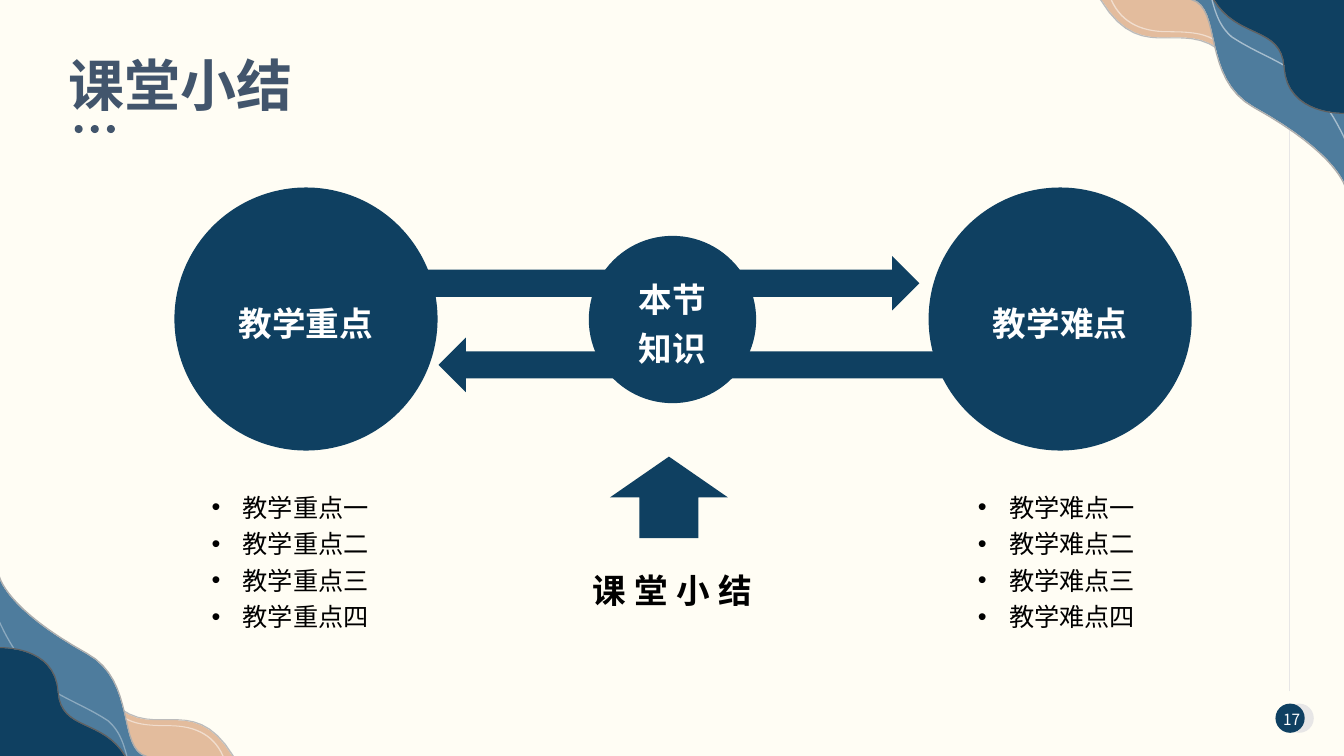
from lxml.etree import SubElement
from pptx import Presentation
from pptx.dml.color import RGBColor
from pptx.enum.shapes import MSO_CONNECTOR as CONNECTOR, MSO_SHAPE as SHAPE
from pptx.enum.text import MSO_ANCHOR as ANCHOR, MSO_AUTO_SIZE as AUTO_SIZE, PP_ALIGN as ALIGN
from pptx.oxml.ns import qn
from pptx.util import Inches, Pt

FONT = "Noto Sans CJK SC"
NAVY = RGBColor(0x0F, 0x40, 0x61)
BLUE = RGBColor(0x4E, 0x7C, 0x9D)
PEACH = RGBColor(0xE3, 0xBC, 0x9D)
CREAM = RGBColor(0xFF, 0xFA, 0xE1)
SLATE = RGBColor(0x42, 0x55, 0x6C)
SILVER = RGBColor(0xE7, 0xE6, 0xE6)
LIGHT_EDGE = RGBColor(0xBC, 0xBC, 0xBC)
MID_EDGE = RGBColor(0xAD, 0xAD, 0xAD)
DARK_EDGE = RGBColor(0x60, 0x60, 0x60)
WHITE = RGBColor(0xFF, 0xFF, 0xFF)
BLACK = RGBColor(0, 0, 0)

CORNER = (13.35, -0.01)
CORNER_SCALE = 0.955
PEACH_WAVE = [(13.35, 1.24), (13.35, 1.24), (12.71, 1.22), (12.26, 0.65),
              (11.79, 0.05), (11.37, 0.73), (10.92, -0.01)]
BLUE_WAVE = [(13.35, 1.86), (13.35, 1.86), (13.29, 1.53), (12.44, 1.06),
             (11.92, 0.77), (12.13, 0.07), (11.82, -0.01)]
NAVY_WAVE = [(13.35, 1.12), (13.35, 1.12), (12.77, 1.15), (12.74, 0.66),
             (12.71, 0.25), (12.28, 0.39), (12.04, -0.01)]
PEACH_STRIPE = [(12.13, 0.45), (12, 0.33), (11.85, 0.31), (11.59, 0.31),
                (11.3, 0.31), (11.1, 0.2), (11.01, -0.05)]
BLUE_STRIPE = [(13.42, 1.56), (13.28, 1.18), (13.06, 0.85), (12.77, 0.66),
               (12.6, 0.56), (12.4, 0.48), (12.22, 0.36),
               (12.12, 0.27), (12.07, 0.17), (12.02, -0.03)]


def paint(shape, color, opacity=100):
    """Give a shape a plain fill without line or shadow."""
    shape.shadow.inherit = False
    shape.line.fill.background()
    shape.fill.solid()
    shape.fill.fore_color.rgb = color
    if opacity < 100:
        tint = shape.element.spPr.find(qn("a:solidFill"))[0]
        SubElement(tint, qn("a:alpha"), val=str(opacity * 1000))


def add_figure(slide, kind, left, top, width, height, color, opacity=100):
    """Add a filled preset shape."""
    figure = slide.shapes.add_shape(
        kind, Inches(left), Inches(top), Inches(width), Inches(height))
    paint(figure, color, opacity)
    return figure


def write(frame, text, size, color, bold=False, align=None, line_spacing=None, tracking=0):
    """Fill a text frame with one formatted paragraph."""
    frame.word_wrap = True
    frame.text = text
    paragraph = frame.paragraphs[0]
    paragraph.alignment = align
    paragraph.line_spacing = line_spacing
    run = paragraph.runs[0]
    run.font.size = Pt(size)
    run.font.bold = bold
    run.font.color.rgb = color
    run.font.name = FONT
    properties = run._r.get_or_add_rPr()
    SubElement(properties, qn("a:ea"), typeface=FONT)
    if tracking:
        properties.set("spc", str(tracking * 100))
    return paragraph


def add_text(slide, left, top, width, height, text, size, color, inset=True, **style):
    """Add a text box and return its paragraph."""
    frame = slide.shapes.add_textbox(
        Inches(left), Inches(top), Inches(width), Inches(height)).text_frame
    frame.auto_size = AUTO_SIZE.SHAPE_TO_FIT_TEXT
    if not inset:
        frame.margin_left = frame.margin_right = frame.margin_top = frame.margin_bottom = 0
    return write(frame, text, size, color, **style)


def add_topic(slide, left, top, diameter, text):
    """Add a navy circle with a centred label."""
    topic = add_figure(slide, SHAPE.OVAL, left, top, diameter, diameter, NAVY)
    topic.text_frame.vertical_anchor = ANCHOR.MIDDLE
    write(topic.text_frame, text, 24, WHITE, bold=True, align=ALIGN.CENTER, line_spacing=1.2)


def add_points(slide, left, topic):
    """Add four evenly spaced bulleted points."""
    for index, number in enumerate("一二三四"):
        point = add_text(slide, left, 4.68 + index * 1.09 / 3, 2.34, 0.52,
                         topic + number, 18, BLACK, line_spacing=1.5)
        properties = point._p.get_or_add_pPr()
        properties.set("marL", str(Inches(0.31)))
        properties.set("indent", str(-Inches(0.31)))
        SubElement(properties, qn("a:buFont"), typeface="Arial")
        SubElement(properties, qn("a:buChar"), char="•")


def trace(curve, steps=16):
    """Sample a chain of cubic Bézier segments."""
    points = [curve[0]]
    for start in range(0, len(curve) - 1, 3):
        controls = curve[start:start + 4]
        for step in range(1, steps + 1):
            t = step / steps
            weights = ((1 - t) ** 3, 3 * t * (1 - t) ** 2, 3 * t * t * (1 - t), t ** 3)
            points.append(tuple(sum(w * c[axis] for w, c in zip(weights, controls))
                                for axis in (0, 1)))
    return points


def turn(point):
    """Turn a top right point into the bottom left corner."""
    x, y = point
    return (CORNER[0] - x) * CORNER_SCALE - 0.01, 7.51 - (y - CORNER[1]) * CORNER_SCALE


def add_outline(slide, points, color, turned, opacity=100):
    """Add a closed outline in one of the two corners."""
    placed = [turn(point) if turned else point for point in points]
    vertices = [(Inches(x), Inches(y)) for x, y in placed]
    builder = slide.shapes.build_freeform(*vertices[0])
    builder.add_line_segments(vertices[1:], close=True)
    paint(builder.convert_to_shape(), color, opacity)


def add_ribbon(slide, curve, color, turned, opacity=100):
    """Add a hairline ribbon along a curve."""
    edge = trace(curve)
    inner = [(x - 0.01, y + 0.01) for x, y in reversed(edge)]
    add_outline(slide, edge + inner, color, turned, opacity)


def add_waves(slide, turned, blue_stripe_opacity):
    """Add the layered waves of one corner."""
    layers = [(PEACH_WAVE, PEACH, PEACH_STRIPE, 50, LIGHT_EDGE),
              (BLUE_WAVE, BLUE, BLUE_STRIPE, blue_stripe_opacity, MID_EDGE),
              (NAVY_WAVE, NAVY, None, 0, DARK_EDGE)]
    for wave, color, stripe, opacity, edge_color in layers:
        add_outline(slide, trace(wave) + [CORNER], color, turned)
        if stripe:
            add_ribbon(slide, stripe, WHITE, turned, opacity)
        add_ribbon(slide, wave, edge_color, turned)


def add_page_mark(slide):
    """Add the page number with its circles and vertical rule."""
    for left, color in ((12.74, SILVER), (12.65, NAVY)):
        add_figure(slide, SHAPE.OVAL, left, 6.98, 0.29, 0.29, color)
    rule = slide.shapes.add_connector(
        CONNECTOR.STRAIGHT, Inches(12.79), Inches(6.86), Inches(12.79), Inches(0.64))
    rule.line.color.rgb = SILVER
    rule.line.width = Pt(0.5)
    SubElement(rule.element.spPr, qn("a:effectLst"))
    add_text(slide, 12.7, 7.04, 0.22, 0.19, "17", 11, WHITE, inset=False, align=ALIGN.CENTER)


def add_heading(slide):
    """Add the slide title and the three dots below it."""
    add_text(slide, 0.68, 0.5, 11.65, 0.67, "课堂小结", 40, SLATE, inset=False, bold=True)
    for index in range(3):
        add_figure(slide, SHAPE.OVAL, 0.74 + index * 0.16, 1.24, 0.08, 0.08, SLATE)


def main():
    """Build the lesson summary slide."""
    deck = Presentation()
    deck.slide_width, deck.slide_height = Inches(13.33), Inches(7.5)
    slide = deck.slides.add_slide(deck.slide_layouts[6])
    add_figure(slide, SHAPE.RECTANGLE, 0, 0, 13.33, 7.5, CREAM, 35)
    add_page_mark(slide)
    add_waves(slide, turned=False, blue_stripe_opacity=50)
    add_waves(slide, turned=True, blue_stripe_opacity=35)
    add_heading(slide)
    add_figure(slide, SHAPE.RIGHT_ARROW, 4.16, 2.54, 4.96, 0.54, NAVY)
    add_figure(slide, SHAPE.LEFT_ARROW, 4.35, 3.35, 5.13, 0.54, NAVY)
    add_topic(slide, 1.73, 1.86, 2.61, "教学重点")
    add_topic(slide, 9.21, 1.86, 2.61, "教学难点")
    add_figure(slide, SHAPE.UP_ARROW, 6.05, 4.53, 1.17, 0.81, NAVY)
    add_text(slide, 5.63, 5.6, 2.07, 0.5, "课堂小结", 24, BLACK,
             bold=True, align=ALIGN.CENTER, tracking=6)
    add_points(slide, 2, "教学重点")
    add_points(slide, 9.6, "教学难点")
    add_topic(slide, 5.84, 2.34, 1.66, "本节知识")
    deck.save("out.pptx")


if __name__ == "__main__":
    main()
